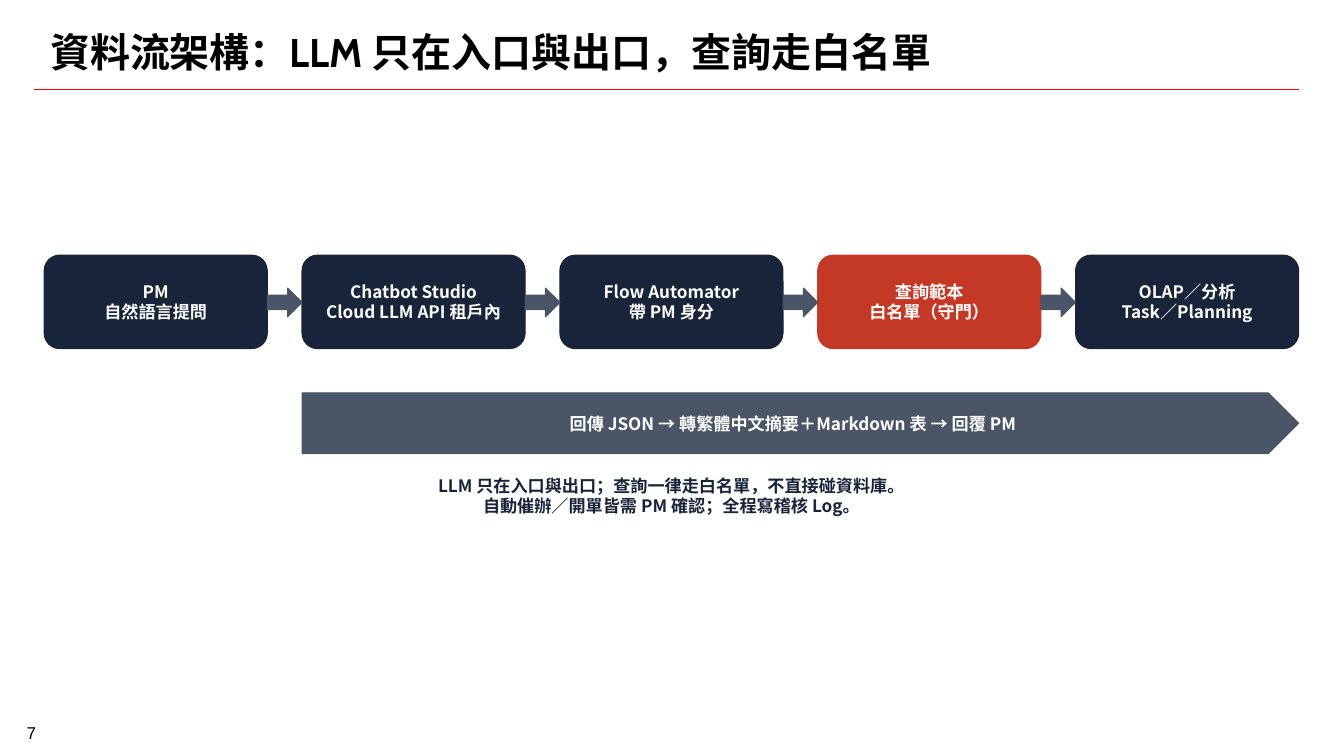
from dataclasses import dataclass

from lxml.etree import SubElement
from pptx import Presentation
from pptx.dml.color import RGBColor
from pptx.enum.shapes import MSO_CONNECTOR, MSO_SHAPE
from pptx.enum.text import MSO_ANCHOR, PP_ALIGN
from pptx.oxml.ns import qn
from pptx.util import Inches, Pt


@dataclass(frozen=True)
class Theme:
    navy: str = "172439"
    brick: str = "C43826"
    slate: str = "4A5568"
    red: str = "FF0000"
    black: str = "000000"
    white: str = "FFFFFF"
    head: int = 28
    body: int = 12
    cjk: str = "Noto Sans CJK SC"
    title: str = "Cabin"
    plain: str = "Arial"


THEME = Theme()

# Flow grid
LEFT, RIGHT, TOP = 0.43, 12.63, 2.48
WIDE, HIGH = 2.17, 0.91
STEPS = [
    ("PM\n自然語言提問", THEME.navy),
    ("Chatbot Studio\nCloud LLM API 租戶內", THEME.navy),
    ("Flow Automator\n帶 PM 身分", THEME.navy),
    ("查詢範本\n白名單（守門）", THEME.brick),
    ("OLAP／分析\nTask／Planning", THEME.navy),
]
PITCH = (RIGHT - LEFT - WIDE) / (len(STEPS) - 1)
GAP = PITCH - WIDE


def write(frame, text, color, size=THEME.body, font=THEME.cjk, bold=True,
          align=PP_ALIGN.CENTER, anchor=MSO_ANCHOR.MIDDLE):
    frame.text = text
    frame.word_wrap = True
    frame.vertical_anchor = anchor
    for para in frame.paragraphs:
        para.alignment = align
        for run in para.runs:
            run.font.name = font
            run.font.size = Pt(size)
            run.font.bold = bold
            run.font.color.rgb = RGBColor.from_string(color)
            # East Asian glyphs take their own typeface
            SubElement(run.font._element, qn("a:ea"), typeface=THEME.cjk)


def add_text(slide, box, text, color, **style):
    frame = slide.shapes.add_textbox(*map(Inches, box)).text_frame
    write(frame, text, color, **style)
    return frame


def add_block(slide, kind, box, color, text=""):
    shape = slide.shapes.add_shape(kind, *map(Inches, box))
    shape.shadow.inherit = False
    shape.fill.solid()
    shape.fill.fore_color.rgb = RGBColor.from_string(color)
    shape.line.color.rgb = RGBColor.from_string(color)
    shape.line.width = Pt(0.75)
    if text:
        frame = shape.text_frame
        frame.margin_left = frame.margin_right = Inches(0.04)
        frame.margin_top = frame.margin_bottom = Inches(0.01)
        write(frame, text, THEME.white)


def add_rule(slide, left, right, top):
    rule = slide.shapes.add_connector(
        MSO_CONNECTOR.STRAIGHT, *map(Inches, (left, top, right, top)))
    rule.line.color.rgb = RGBColor.from_string(THEME.red)
    rule.line.width = Pt(1.25)
    SubElement(rule._element.spPr, qn("a:effectLst"))


def add_flow(slide):
    for i, (text, color) in enumerate(STEPS):
        left = LEFT + i * PITCH
        add_block(slide, MSO_SHAPE.ROUNDED_RECTANGLE,
                  (left, TOP, WIDE, HIGH), color, text)
        if i:
            add_block(slide, MSO_SHAPE.RIGHT_ARROW,
                      (left - GAP, 2.8, GAP, 0.28), THEME.slate)


def main():
    deck = Presentation()
    deck.slide_width, deck.slide_height = Inches(13.07), Inches(7.35)
    slide = deck.slides.add_slide(deck.slide_layouts[6])

    # Heading and page number
    add_rule(slide, 0.33, RIGHT, 0.87)
    page = add_text(slide, (0.02, 7.03, 0.57, 0.24), "7", THEME.black,
                    font=THEME.plain, bold=False, anchor=MSO_ANCHOR.BOTTOM)
    page.paragraphs[0].line_spacing = Pt(10)
    add_text(slide, (0.39, 0.16, 12.16, 0.68),
             "資料流架構：LLM 只在入口與出口，查詢走白名單", THEME.black,
             size=THEME.head, font=THEME.title, align=PP_ALIGN.LEFT)

    # Query path and reply path
    add_flow(slide)
    start = LEFT + PITCH
    add_block(slide, MSO_SHAPE.PENTAGON, (start, 3.82, RIGHT - start, 0.59),
              THEME.slate, "回傳 JSON → 轉繁體中文摘要＋Markdown 表 → 回覆 PM")

    # Closing note
    add_text(slide, (LEFT, 4.57, RIGHT - LEFT, 0.55),
             "LLM 只在入口與出口；查詢一律走白名單，不直接碰資料庫。\n"
             "自動催辦／開單皆需 PM 確認；全程寫稽核 Log。",
             THEME.navy, anchor=MSO_ANCHOR.TOP)

    deck.save("out.pptx")


if __name__ == "__main__":
    main()
